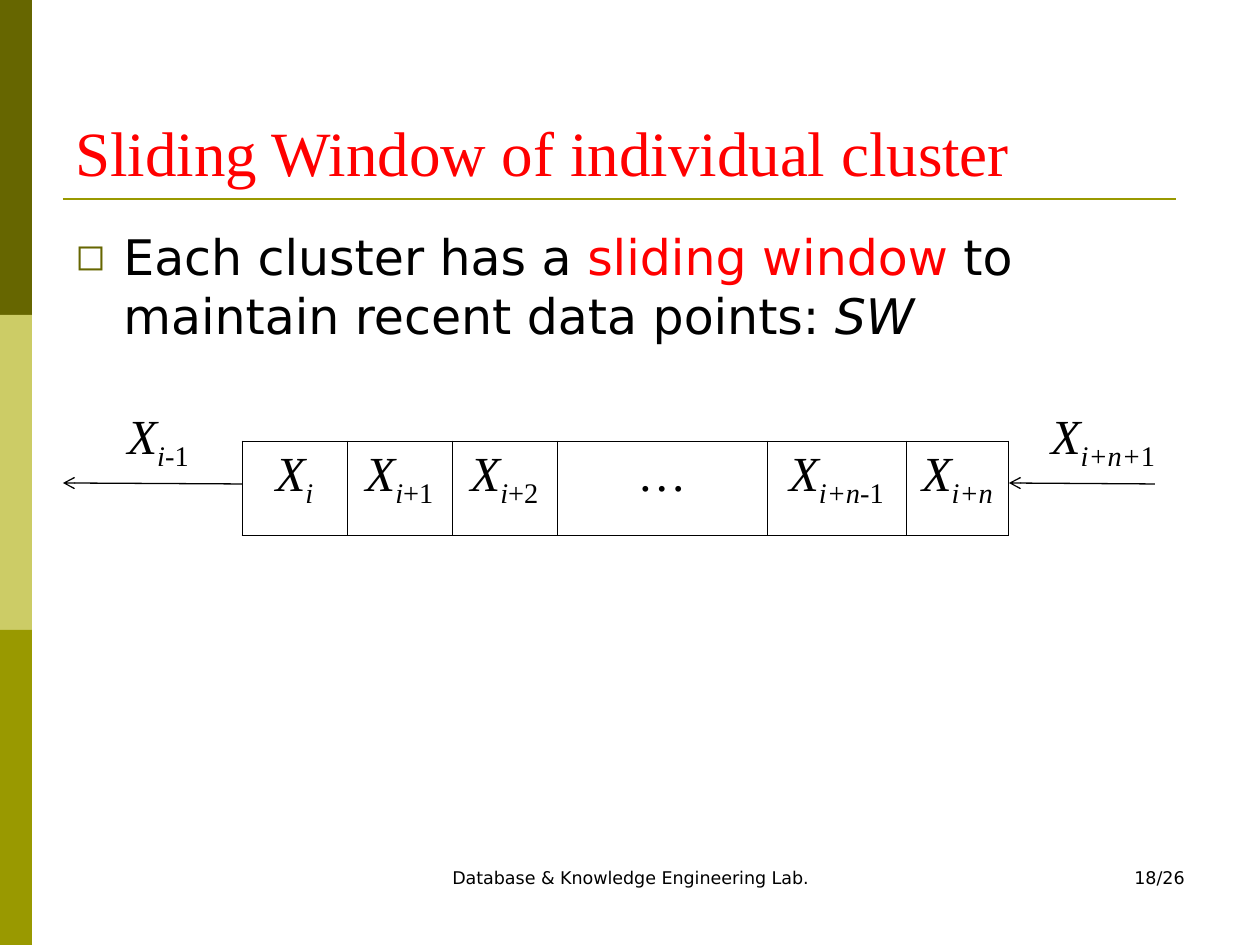
import pptx
import pptx.util
import pptx.dml.color
import pptx.enum.shapes
import pptx.enum.text
import pptx.oxml
import pptx.oxml.ns

RGBColor = pptx.dml.color.RGBColor
ALIGN = pptx.enum.text.PP_ALIGN
ANCHOR = pptx.enum.text.MSO_ANCHOR
SHAPES = pptx.enum.shapes

PX = 914400 // 126
BLACK = RGBColor(0, 0, 0)
WHITE = RGBColor(255, 255, 255)
RED = RGBColor(255, 0, 0)
DARK_OLIVE = RGBColor(0x66, 0x66, 0x00)
PALE_OLIVE = RGBColor(0xCC, 0xCC, 0x66)
OLIVE = RGBColor(0x99, 0x99, 0x00)
SERIF = "Times New Roman"
SANS = "DejaVu Sans"

ITALIC = {"italic": True}
SUB = {"sub": True}
ITALIC_SUB = {"italic": True, "sub": True}

TITLE = [("Sliding Window of individual cluster", {})]
STATEMENT = [
    ("Each cluster has a ", {}),
    ("sliding window ", {"color": RED}),
    ("to maintain recent data points: ", {}),
    ("SW", ITALIC),
]
FOOTER = [("Database & Knowledge Engineering Lab.", {})]
PAGE = [("18/26", {})]


def point(index, offset=""):
    runs = [("X", ITALIC), (index, ITALIC_SUB)]
    return runs + [(offset, SUB)] if offset else runs


WINDOW = [
    (105, point("i")),
    (105, point("i", "+1")),
    (105, point("i", "+2")),
    (210, [("…", {})]),
    (139, point("i+n-", "1")),
    (103, point("i+n")),
]
WINDOW_LEFT, WINDOW_TOP, WINDOW_HEIGHT = 242, 441, 94
LEAVING = point("i", "-1")
ARRIVING = point("i+n+", "1")
BAND_COLORS = [DARK_OLIVE, PALE_OLIVE, OLIVE]
BAND_WIDTH, BAND_HEIGHT = 32, 315


def px(*lengths):
    return [length * PX for length in lengths]


def write(frame, runs, size=28, font=SERIF, color=BLACK, align=ALIGN.LEFT):
    paragraph = frame.paragraphs[0]
    paragraph.alignment = align
    for text, style in runs:
        run = paragraph.add_run()
        run.text = text
        run.font.size = pptx.util.Pt(size)
        run.font.name = font
        run.font.italic = style.get("italic", False)
        run.font.color.rgb = style.get("color", color)
        if style.get("sub"):
            run.font._element.set("baseline", "-25000")
    return paragraph


def add_text(slide, box, runs, anchor=ANCHOR.TOP, **style):
    frame = slide.shapes.add_textbox(*px(*box)).text_frame
    frame.word_wrap = True
    frame.vertical_anchor = anchor
    return write(frame, runs, **style)


def add_bullet(paragraph):
    paragraph.space_before = pptx.util.Pt(7)
    properties = paragraph._p.get_or_add_pPr()
    properties.set("marL", str(48 * PX))
    properties.set("indent", str(-48 * PX))
    namespace = pptx.oxml.ns.nsdecls("a")
    for xml in (
        f'<a:buClr {namespace}><a:srgbClr val="{DARK_OLIVE}"/></a:buClr>',
        f'<a:buSzPct {namespace} val="75000"/>',
        f'<a:buFont {namespace} typeface="{SANS}"/>',
        f'<a:buChar {namespace} char="◻"/>',
    ):
        properties.append(pptx.oxml.parse_xml(xml))


def add_line(slide, ends, color, width, arrow=False):
    line = slide.shapes.add_connector(SHAPES.MSO_CONNECTOR.STRAIGHT, *px(*ends))
    line.line.color.rgb = color
    line.line.width = pptx.util.Pt(width)
    namespace = pptx.oxml.ns.nsdecls("a")
    if arrow:
        line.line._get_or_add_ln().append(
            pptx.oxml.parse_xml(f'<a:tailEnd {namespace} type="arrow"/>'))
    line._element.spPr.append(pptx.oxml.parse_xml(f"<a:effectLst {namespace}/>"))


def add_borders(cell):
    properties = cell._tc.get_or_add_tcPr()
    width = pptx.util.Pt(0.45)
    for side in "LRTB":
        properties.append(pptx.oxml.parse_xml(
            f'<a:ln{side} {pptx.oxml.ns.nsdecls("a")} w="{width}">'
            f'<a:solidFill><a:srgbClr val="{BLACK}"/></a:solidFill></a:ln{side}>'))


def add_window(slide):
    width = sum(cell_width for cell_width, _ in WINDOW)
    table = slide.shapes.add_table(
        1, len(WINDOW), *px(WINDOW_LEFT, WINDOW_TOP, width, WINDOW_HEIGHT)).table
    table.first_row = table.horz_banding = False
    for column, (cell_width, runs) in enumerate(WINDOW):
        table.columns[column].width = cell_width * PX
        cell = table.cell(0, column)
        add_borders(cell)
        cell.fill.solid()
        cell.fill.fore_color.rgb = WHITE
        write(cell.text_frame, runs, align=ALIGN.CENTER)
    return WINDOW_LEFT + width


def main():
    deck = pptx.Presentation()
    deck.slide_width, deck.slide_height = px(1260, 945)
    slide = deck.slides.add_slide(deck.slide_layouts[6])

    for row, color in enumerate(BAND_COLORS):
        band = slide.shapes.add_shape(
            SHAPES.MSO_SHAPE.RECTANGLE,
            *px(0, row * BAND_HEIGHT, BAND_WIDTH, BAND_HEIGHT))
        band.shadow.inherit = False
        band.fill.solid()
        band.fill.fore_color.rgb = color
        band.line.fill.background()
    add_line(slide, (63, 199, 1176, 199), OLIVE, 1.5)

    add_text(slide, (63, 38, 1134, 157), TITLE, anchor=ANCHOR.BOTTOM, size=36, color=RED)
    add_bullet(add_text(slide, (63, 220, 1134, 158), STATEMENT, font=SANS))
    add_text(slide, (431, 861, 399, 63), FOOTER, size=10, font=SANS, align=ALIGN.CENTER)
    add_text(slide, (903, 861, 294, 63), PAGE, size=10, font=SANS, align=ALIGN.RIGHT)

    window_right = add_window(slide)
    add_line(slide, (WINDOW_LEFT, 484, 63, 483), BLACK, 0.75, arrow=True)
    add_line(slide, (1155, 484, window_right, 483), BLACK, 0.75, arrow=True)
    for left, runs in ((53, LEAVING), (998, ARRIVING)):
        add_text(slide, (left, 399, 210, 79), runs, align=ALIGN.CENTER)

    deck.save("out.pptx")


if __name__ == "__main__":
    main()
